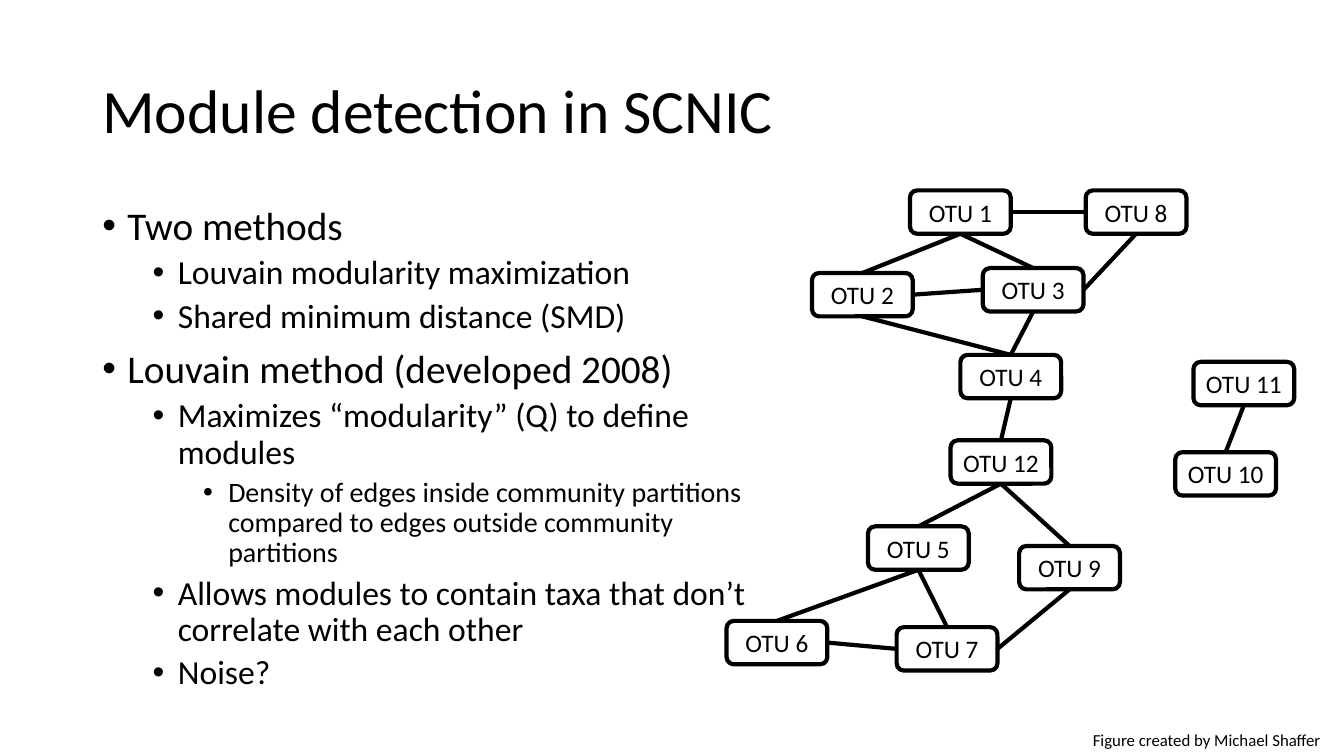
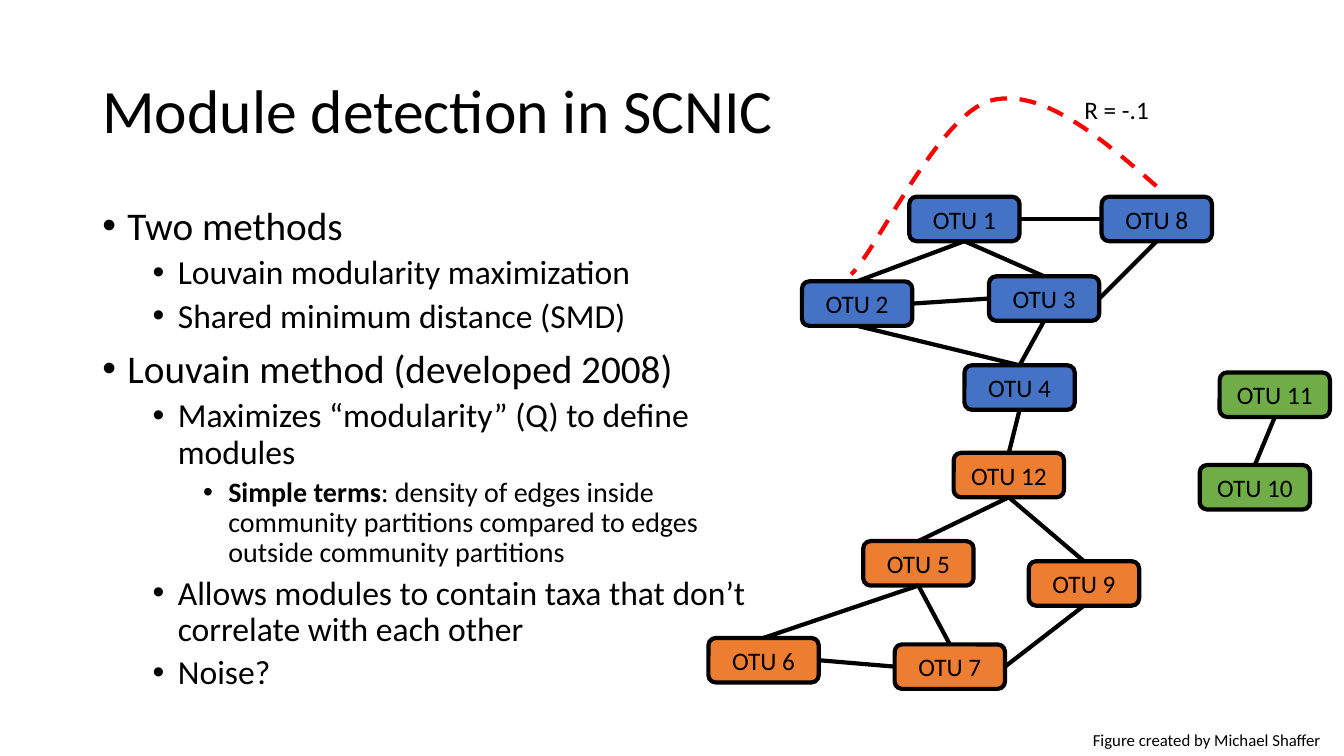
from lxml.etree import SubElement
from pptx import Presentation
from pptx.dml.color import RGBColor
from pptx.enum.dml import MSO_LINE
from pptx.enum.shapes import MSO_CONNECTOR, MSO_SHAPE
from pptx.enum.text import MSO_ANCHOR, PP_ALIGN
from pptx.oxml.ns import qn
from pptx.util import Pt

FONT = "Calibri"
BLACK, RED = "000000", "FF0000"
BLUE, ORANGE, GREEN = "4472C4", "ED7D31", "70AD47"
LINE_WIDTH = 3

# Outline level: (size, space before, left indent)
LEVELS = [(28, 10, 18), (24, 5, 54), (20, 5, 90)]
HANGING = 18

# Network nodes: left and top, relative to the network's corner
NODE_SIZE = (72, 31)
NODES = {
    1: (131, 0), 2: (61, 59), 3: (183, 55.5), 4: (167, 117.5),
    5: (101, 240), 6: (0, 307.5), 7: (121.5, 312), 8: (256.5, 0),
    9: (209, 254), 10: (320.5, 187), 11: (333.5, 122.5), 12: (160, 178.5),
}
MODULES = {BLUE: (1, 2, 3, 4, 8), ORANGE: (5, 6, 7, 9, 12), GREEN: (10, 11)}
MODULE_COLORS = {n: color for color, members in MODULES.items() for n in members}

# Connection sites of a rounded rectangle
TOP, LEFT, BOTTOM, RIGHT = range(4)
EDGES = [
    (1, BOTTOM, 2, TOP), (1, BOTTOM, 3, TOP), (3, LEFT, 2, RIGHT),
    (4, TOP, 2, BOTTOM), (3, BOTTOM, 4, TOP), (12, BOTTOM, 5, TOP),
    (5, BOTTOM, 6, TOP), (7, TOP, 5, BOTTOM), (6, RIGHT, 7, LEFT),
    (8, LEFT, 1, RIGHT), (8, BOTTOM, 3, RIGHT), (12, BOTTOM, 9, TOP),
    (9, BOTTOM, 7, RIGHT), (11, BOTTOM, 10, TOP), (4, BOTTOM, 12, TOP),
]

# Bezier pieces of the negative correlation arc, from OTU 8 to OTU 2
ARC = [
    [(826, 133), (785, 97), (743, 62), (707, 72)],
    [(707, 72), (670, 83), (626, 179), (608, 196)],
]


def rgb(color):
    return RGBColor.from_string(color)


def style_run(r, size, bold=False):
    r.font.name = FONT
    r.font.size = Pt(size)
    r.font.bold = bold
    r.font.color.rgb = rgb(BLACK)


def style_line(line, color=BLACK):
    line.width = Pt(LINE_WIDTH)
    line.color.rgb = rgb(color)


def add_text(s, box, text, size, wrap=True):
    tf = s.shapes.add_textbox(*map(Pt, box)).text_frame
    tf.word_wrap = wrap
    tf.text = text
    style_run(tf.paragraphs[0].runs[0], size)
    return tf


def add_title(s, text):
    tf = add_text(s, (66, 29, 828, 104), text, 44)
    tf.vertical_anchor = MSO_ANCHOR.MIDDLE
    tf.paragraphs[0].line_spacing = 0.9


def add_bullet(p, indent):
    pPr = p._p.get_or_add_pPr()
    pPr.set("marL", str(Pt(indent)))
    pPr.set("indent", str(-Pt(HANGING)))
    SubElement(pPr, qn("a:buFont"), typeface="Arial")
    SubElement(pPr, qn("a:buChar"), char="•")


def add_outline(s, items):
    """Each item is a level and its texts; the first of several is bold."""
    tf = s.shapes.add_textbox(Pt(66), Pt(144), Pt(476), Pt(367)).text_frame
    tf.word_wrap = True
    for i, (level, *texts) in enumerate(items):
        p = tf.add_paragraph() if i else tf.paragraphs[0]
        size, space, indent = LEVELS[level]
        p.level = level
        p.line_spacing = 0.9
        p.space_before = Pt(space if i else 0)
        add_bullet(p, indent)
        for j, text in enumerate(texts):
            r = p.add_run()
            r.text = text
            style_run(r, size, bold=j < len(texts) - 1)


def add_node(s, box, text, fill):
    sp = s.shapes.add_shape(MSO_SHAPE.ROUNDED_RECTANGLE, *map(Pt, box))
    sp.shadow.inherit = False
    if fill:
        sp.fill.solid()
        sp.fill.fore_color.rgb = rgb(fill)
    else:
        sp.fill.background()
    style_line(sp.line)
    tf = sp.text_frame
    tf.margin_left = tf.margin_right = 0
    tf.vertical_anchor = MSO_ANCHOR.MIDDLE
    tf.text = text
    p = tf.paragraphs[0]
    p.alignment = PP_ALIGN.CENTER
    style_run(p.runs[0], 18)
    return sp


def add_edge(s, start, start_site, end, end_site):
    line = s.shapes.add_connector(MSO_CONNECTOR.STRAIGHT, 0, 0, 0, 0)
    line.begin_connect(start, start_site)
    line.end_connect(end, end_site)
    style_line(line.line)
    SubElement(line._element.spPr, qn("a:effectLst"))


def add_network(s, left, top, x_scale=1, y_scale=1, colors=None):
    colors = colors or {}
    width, height = NODE_SIZE
    nodes = {}
    for n, (x, y) in NODES.items():
        box = (left + x * x_scale, top + y * y_scale,
               width * x_scale, height * y_scale)
        nodes[n] = add_node(s, box, f"OTU {n}", colors.get(n))
    for start, start_site, end, end_site in EDGES:
        add_edge(s, nodes[start], start_site, nodes[end], end_site)


def bezier_point(points, t):
    """Point at t on the cubic curve, in EMU."""
    weights = ((1 - t) ** 3, 3 * t * (1 - t) ** 2, 3 * t ** 2 * (1 - t), t ** 3)
    return tuple(Pt(sum(w * v for w, v in zip(weights, axis)))
                 for axis in zip(*points))


def add_dashed_arc(s, pieces, steps=24):
    builder = s.shapes.build_freeform(*bezier_point(pieces[0], 0))
    builder.add_line_segments(
        [bezier_point(piece, i / steps)
         for piece in pieces for i in range(1, steps + 1)],
        close=False)
    sp = builder.convert_to_shape()
    sp.shadow.inherit = False
    sp.fill.background()
    style_line(sp.line, RED)
    sp.line.dash_style = MSO_LINE.DASH


def add_method_slide(prs, *density):
    """Slide with all that is shared; density holds the texts on modularity."""
    s = prs.slides.add_slide(prs.slide_layouts[6])
    add_title(s, "Module detection in SCNIC")
    add_outline(s, [
        (0, "Two methods"),
        (1, "Louvain modularity maximization"),
        (1, "Shared minimum distance (SMD)"),
        (0, "Louvain method (developed 2008)"),
        (1, "Maximizes “modularity” (Q) to define modules"),
        (2, *density),
        (1, "Allows modules to contain taxa that don’t correlate with each other"),
        (1, "Noise?"),
    ])
    add_text(s, (773.5, 517.5, 178.5, 22), "Figure created by Michael Shaffer",
             12, wrap=False)
    return s


def main():
    prs = Presentation()
    prs.slide_width, prs.slide_height = Pt(960), Pt(540)
    rest = "ensity of edges inside community partitions compared to edges outside community partitions"

    s = add_method_slide(prs, "D" + rest)
    add_network(s, 519, 136)

    s = add_method_slide(prs, "Simple terms", ": d" + rest)
    add_network(s, 506, 140.5, 1.095, 1.025, MODULE_COLORS)
    add_dashed_arc(s, ARC)
    add_text(s, (767.5, 63.5, 88.5, 29), "R = -.1", 18)

    prs.save("out.pptx")


if __name__ == "__main__":
    main()
